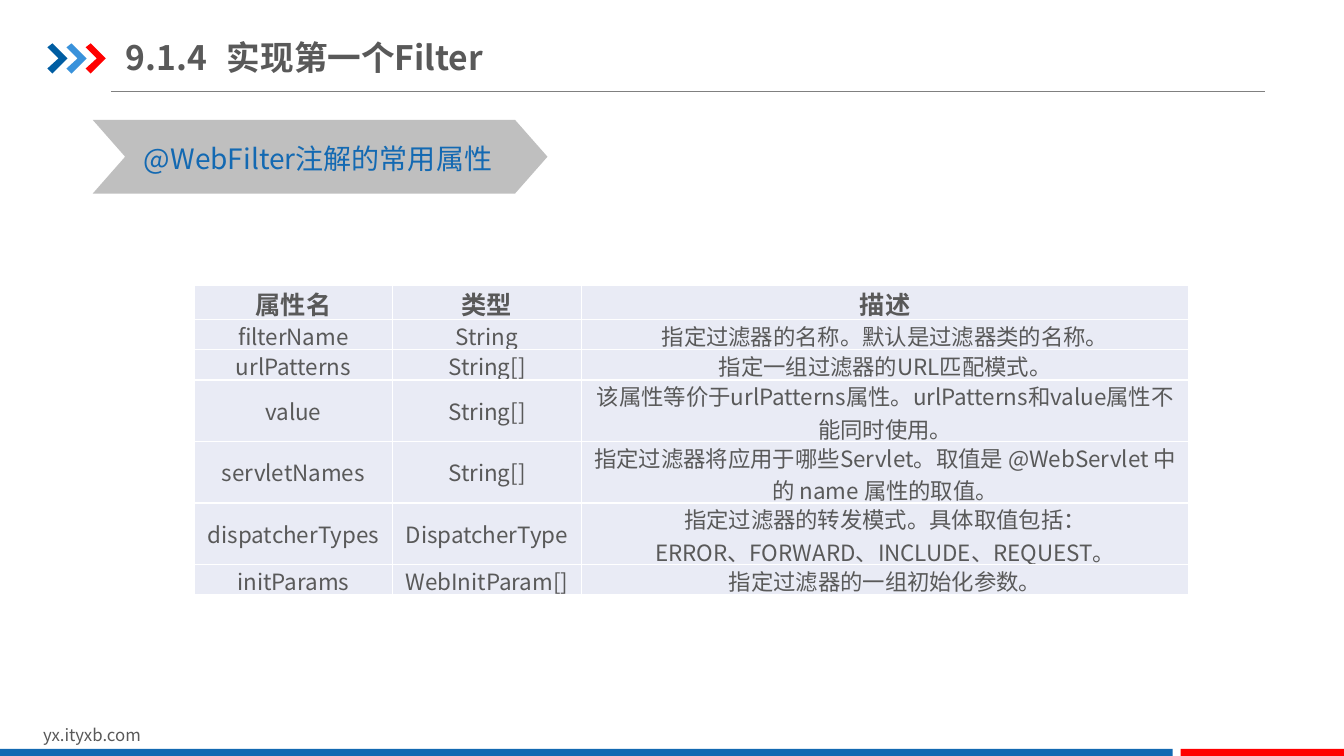
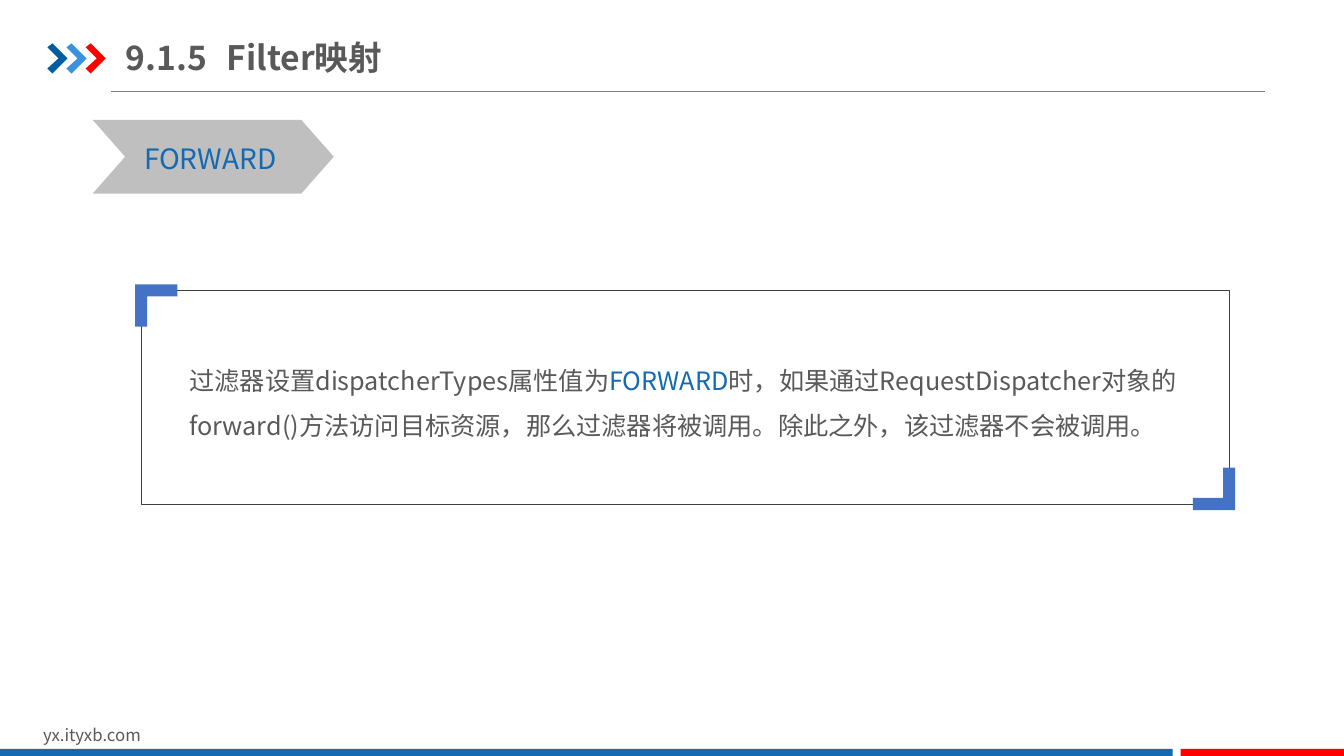
from pptx import Presentation, util as u
from pptx.dml.color import RGBColor
from pptx.enum import shapes, text
from pptx.oxml.ns import qn
from lxml import etree

FONT = "Noto Sans CJK SC"
BLUE, RED, GRAY = "1369B2", "FF0000", "595959"
BAND, RULE, FRAME = "BFBFBF", "808080", "404040"
CELL, CORNER, WHITE = "E9EBF5", "4472C4", "FFFFFF"
ARROWS = ("005DA2", "3992DB", RED)
MIDDLE, TOP = text.MSO_ANCHOR.MIDDLE, text.MSO_ANCHOR.TOP


def color(value):
    return RGBColor.from_string(value)


def inches(values):
    return [u.Inches(value) for value in values]


class Slides:
    """Holds the deck style and the current page."""

    def __init__(self):
        self.deck = Presentation()
        self.deck.slide_width, self.deck.slide_height = inches((13.33, 7.5))
        self.page = None

    # Page with the shared title, arrows, rule and footer
    def start(self, number, title):
        self.page = self.deck.slides.add_slide(self.deck.slide_layouts[6])
        self.line((1.1, 0.91), (12.55, 0.91), RULE, 0.5)
        for index, fill in enumerate(ARROWS):
            left = 0.47 + 0.19 * index
            outline = ((0, 0.04), (0.05, 0), (0.2, 0.15),
                       (0.05, 0.3), (0, 0.25), (0.11, 0.15))
            self.outline([(left + x, 0.43 + y) for x, y in outline], fill)
        self.text((0.33, 7.14, 3.18, 0.3), [[("yx.ityxb.com", GRAY)]], 12)
        self.shape((0, 7.43, 11.63, 0.07), fill=BLUE)
        self.shape((11.71, 7.43, 1.62, 0.07), fill=RED)

        box = self.text((1.25, 0.29, 6, 0.55), [[(f"{number}\t{title}", GRAY)]],
                        24, bold=True, anchor=MIDDLE, margins=(0, 0.07))
        properties = box.text_frame.paragraphs[0]._p.get_or_add_pPr()
        tabs = etree.SubElement(properties, qn("a:tabLst"))
        etree.SubElement(tabs, qn("a:tab"), pos=str(u.Inches(1)), algn="l")

    # Text, one run at a time: paragraphs are lists of (wording, colour)
    def fill_text(self, frame, paragraphs, size, bold=False, align=None, spacing=None):
        for index, spans in enumerate(paragraphs):
            para = frame.add_paragraph() if index else frame.paragraphs[0]
            para.alignment, para.line_spacing = align, spacing
            for wording, shade in spans:
                span = para.add_run()
                span.text = wording
                span.font.size, span.font.bold = u.Pt(size), bold
                span.font.name = FONT
                span.font.color.rgb = color(shade)
                latin = span.font._element.find(qn("a:latin"))
                east_asian = etree.Element(qn("a:ea"), typeface=FONT)
                latin.addnext(east_asian)

    def text(self, at, paragraphs, size, bold=False, anchor=TOP,
             margins=(0.1, 0.05), wrap=True, spacing=None):
        box = self.page.shapes.add_textbox(*inches(at))
        frame = box.text_frame
        frame.word_wrap, frame.vertical_anchor = wrap, anchor
        frame.margin_left = frame.margin_right = u.Inches(margins[0])
        frame.margin_top = frame.margin_bottom = u.Inches(margins[1])
        self.fill_text(frame, paragraphs, size, bold, spacing=spacing)
        return box

    # Shapes and lines
    def paint(self, shape, fill=None, line=None):
        shape.shadow.inherit = False
        if fill:
            shape.fill.solid()
            shape.fill.fore_color.rgb = color(fill)
        else:
            shape.fill.background()
        if line:
            shape.line.color.rgb = color(line)
            shape.line.width = u.Pt(0.25)
        else:
            shape.line.fill.background()

    def shape(self, at, kind=shapes.MSO_SHAPE.RECTANGLE, fill=None, line=None):
        shape = self.page.shapes.add_shape(kind, *inches(at))
        self.paint(shape, fill, line)
        return shape

    def outline(self, points, fill):
        start, *others = [inches(point) for point in points]
        builder = self.page.shapes.build_freeform(*start)
        builder.add_line_segments(others, close=True)
        self.paint(builder.convert_to_shape(), fill)

    def line(self, start, end, shade, width):
        line = self.page.shapes.add_connector(
            shapes.MSO_CONNECTOR.STRAIGHT, *inches(start + end))
        line.line.color.rgb = color(shade)
        line.line.width = u.Pt(width)
        etree.SubElement(line._element.spPr, qn("a:effectLst"))

    def heading(self, wording, width):
        band = self.shape((0.92, 1.19, width, 0.73), shapes.MSO_SHAPE.CHEVRON, BAND)
        band.adjustments[0] = 0.44
        self.text((1.33, 1.35, width - 0.77, 0.44), [[(wording, BLUE)]], 20, wrap=False)

    # Thin frame with two opposite corner marks
    def frame(self, left, top, width, height):
        self.shape((left, top, width, height), line=FRAME)
        mark = ((0, 0), (0.42, 0), (0.42, 0.12), (0.12, 0.12), (0.12, 0.42), (0, 0.42))
        edge = 0.06
        corners = ((left - edge, top - edge, 1),
                   (left + width + edge, top + height + edge, -1))
        for x, y, sign in corners:
            self.outline([(x + sign * dx, y + sign * dy) for dx, dy in mark], CORNER)

    # Table with white cell borders
    def table(self, left, top, widths, heights, rows):
        at = inches((left, top, sum(widths), sum(heights)))
        table = self.page.shapes.add_table(len(rows), len(widths), *at).table
        table.first_row = table.horz_banding = False
        for column, width in zip(table.columns, widths):
            column.width = u.Inches(width)
        for index, (row, height) in enumerate(zip(rows, heights)):
            table.rows[index].height = u.Inches(height)
            for cell, wording in zip(table.rows[index].cells, row):
                self.cell(cell, wording, header=index == 0)

    def cell(self, cell, wording, header):
        cell.fill.solid()
        cell.fill.fore_color.rgb = color(CELL)
        cell.margin_left = cell.margin_right = u.Inches(0.07)
        cell.margin_top = cell.margin_bottom = 0
        cell.vertical_anchor = TOP if header else MIDDLE
        paragraphs = [[(part, GRAY)] for part in wording.split("\n")]
        self.fill_text(cell.text_frame, paragraphs, 18 if header else 16,
                       header, text.PP_ALIGN.CENTER)
        properties = cell._tc.get_or_add_tcPr()
        for index, side in enumerate(("lnL", "lnR", "lnT", "lnB")):
            border = etree.Element(qn(f"a:{side}"), w=str(u.Pt(1)))
            fill = etree.SubElement(border, qn("a:solidFill"))
            etree.SubElement(fill, qn("a:srgbClr"), val=WHITE)
            properties.insert(index, border)


ATTRIBUTES = [
    ("属性名", "类型", "描述"),
    ("filterName", "String", "指定过滤器的名称。默认是过滤器类的名称。"),
    ("urlPatterns", "String[]", "指定一组过滤器的URL匹配模式。"),
    ("value", "String[]",
     "该属性等价于urlPatterns属性。urlPatterns和value属性不能同时使用。"),
    ("servletNames", "String[]",
     "指定过滤器将应用于哪些Servlet。取值是 @WebServlet 中的 name 属性的取值。"),
    ("dispatcherTypes", "DispatcherType",
     "指定过滤器的转发模式。具体取值包括：\nERROR、FORWARD、INCLUDE、REQUEST。"),
    ("initParams", "WebInitParam[]", "指定过滤器的一组初始化参数。"),
]


def main():
    slides = Slides()

    # Annotation attributes
    slides.start("9.1.4", "实现第一个Filter")
    slides.heading("@WebFilter注解的常用属性", 4.51)
    slides.table(1.93, 2.83, (1.96, 1.88, 6.02),
                 (0.34, 0.3, 0.3, 0.61, 0.61, 0.61, 0.3), ATTRIBUTES)

    # FORWARD mapping
    slides.start("9.1.5", "Filter映射")
    slides.heading("FORWARD", 2.39)
    slides.text((1.78, 3.42, 10.08, 0.99), [[
        ("过滤器设置dispatcherTypes属性值为", GRAY),
        ("FORWARD", BLUE),
        ("时，如果通过RequestDispatcher对象的forward()方法访问目标资源，"
         "那么过滤器将被调用。除此之外，该过滤器不会被调用。", GRAY),
    ]], 18, spacing=1.5)
    slides.frame(1.4, 2.88, 10.79, 2.12)

    slides.deck.save("out.pptx")


if __name__ == "__main__":
    main()
